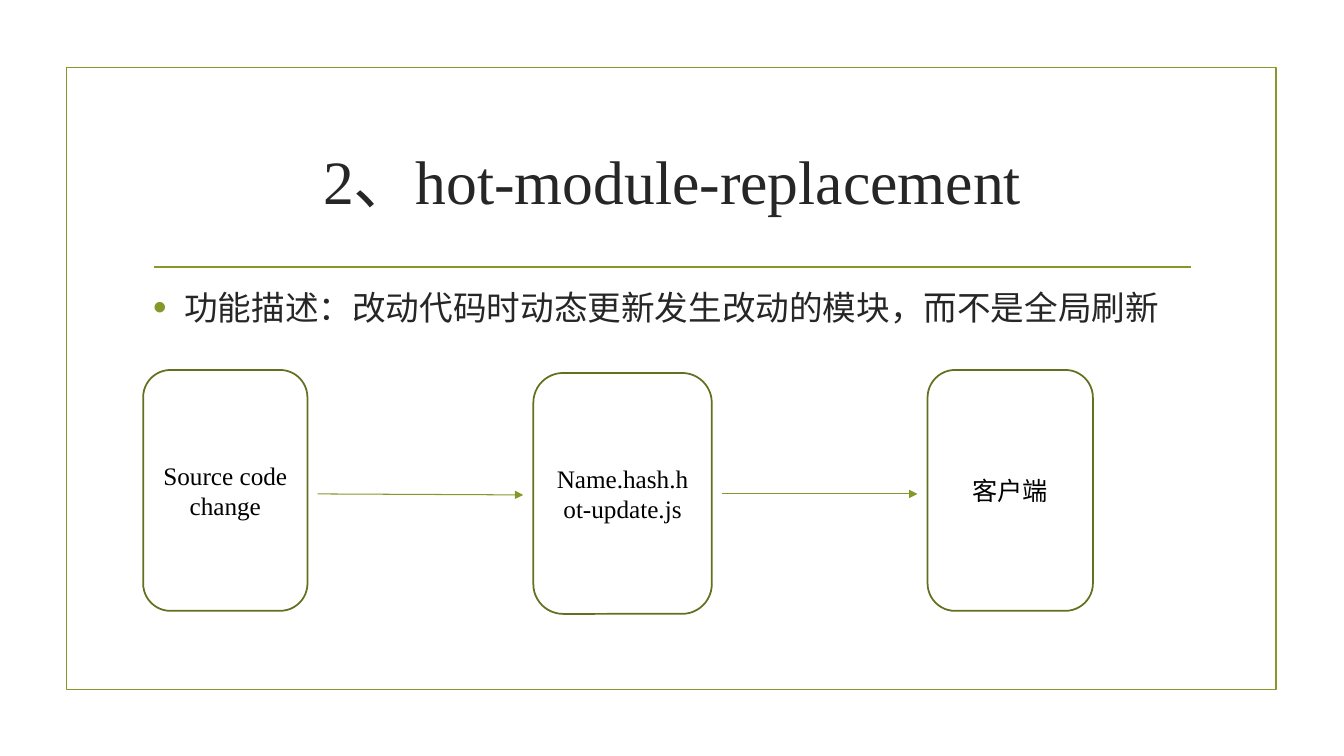
from lxml import etree
from pptx import Presentation
from pptx.dml.color import RGBColor as RGB
from pptx.enum.shapes import MSO_CONNECTOR as Conn, MSO_SHAPE as Shape
from pptx.enum.text import MSO_ANCHOR as Anchor, PP_ALIGN as Align
from pptx.oxml.ns import qn
from pptx.util import Inches, Pt

# Content
TITLE = "2、hot-module-replacement"
POINT = "功能描述：改动代码时动态更新发生改动的模块，而不是全局刷新"
STEPS = [  # label, left, top, width
    ("Source code change", 1.42, 3.67, 1.63),
    ("Name.hash.hot-update.js", 5.29, 3.7, 1.77),
    ("客户端", 9.2, 3.67, 1.64),
]
STEP_H = 2.39
GAP = 0.1
ENDS = [(4.9, 4.91), (4.9, 4.9)]  # start and end height of each arrow
FONT = "Times New Roman"
COLORS = {"green": "83992A", "edge": "61711F", "text": "262626",
          "black": "000000", "white": "FFFFFF"}

deck = Presentation()
deck.slide_width, deck.slide_height = Inches(13.33), Inches(7.5)
slide = deck.slides.add_slide(deck.slide_layouts[6])
shapes = slide.shapes


def color(name):
    return RGB.from_string(COLORS[name])


def write(frame, text, size, tint, anchor=Anchor.MIDDLE, align=Align.CENTER):
    frame.word_wrap = True
    frame.vertical_anchor = anchor
    para = frame.paragraphs[0]
    para.alignment = align
    run = para.add_run()
    run.text = text
    run.font.name, run.font.size = FONT, Pt(size)
    run.font.color.rgb = color(tint)
    return para


def text_box(box, *args):
    return write(shapes.add_textbox(*map(Inches, box)).text_frame, *args)


def add_box(kind, box, edge):
    shape = shapes.add_shape(kind, *map(Inches, box))
    shape.shadow.inherit = False
    shape.fill.solid()
    shape.fill.fore_color.rgb = color("white")
    shape.line.color.rgb = color(edge)
    shape.line.width = Pt(1.25)
    return shape


def add_line(x1, y1, x2, y2, width, arrow=False):
    line = shapes.add_connector(Conn.STRAIGHT, *map(Inches, (x1, y1, x2, y2)))
    line.line.color.rgb = color("green")
    line.line.width = Pt(width)
    if arrow:
        etree.SubElement(line.line._get_or_add_ln(), qn("a:tailEnd"), type="triangle")
    etree.SubElement(line._element.spPr, qn("a:effectLst"))


def add_bullet(para):
    props = para._p.get_or_add_pPr()
    props.set("marL", str(Inches(0.31)))
    props.set("indent", str(Inches(-0.31)))
    tint = etree.SubElement(props, qn("a:buClr"))
    etree.SubElement(tint, qn("a:srgbClr"), val=COLORS["green"])
    etree.SubElement(props, qn("a:buSzPct"), val="115000")
    etree.SubElement(props, qn("a:buFont"), typeface="Arial")
    etree.SubElement(props, qn("a:buChar"), char="•")


# Frame and rule
add_box(Shape.RECTANGLE, (0.66, 0.67, 12, 6.17), "green")
add_line(1.53, 2.65, 11.81, 2.65, 1.25)

# Title and bullet
text_box((1.42, 1.07, 10.5, 1.43), TITLE, 44, "text")
point = text_box((1.42, 2.8, 10.5, 3.63), POINT, 24, "text", Anchor.TOP, Align.LEFT)
point.space_after = Pt(6)
add_bullet(point)

# Steps
for label, left, top, width in STEPS:
    step = add_box(Shape.ROUNDED_RECTANGLE, (left, top, width, STEP_H), "edge")
    write(step.text_frame, label, 18, "black")

# Arrows between neighbouring steps
for (_, left, _, width), (_, after, _, _), (y1, y2) in zip(STEPS, STEPS[1:], ENDS):
    add_line(left + width + GAP, y1, after - GAP, y2, 0.75, arrow=True)

deck.save("out.pptx")
